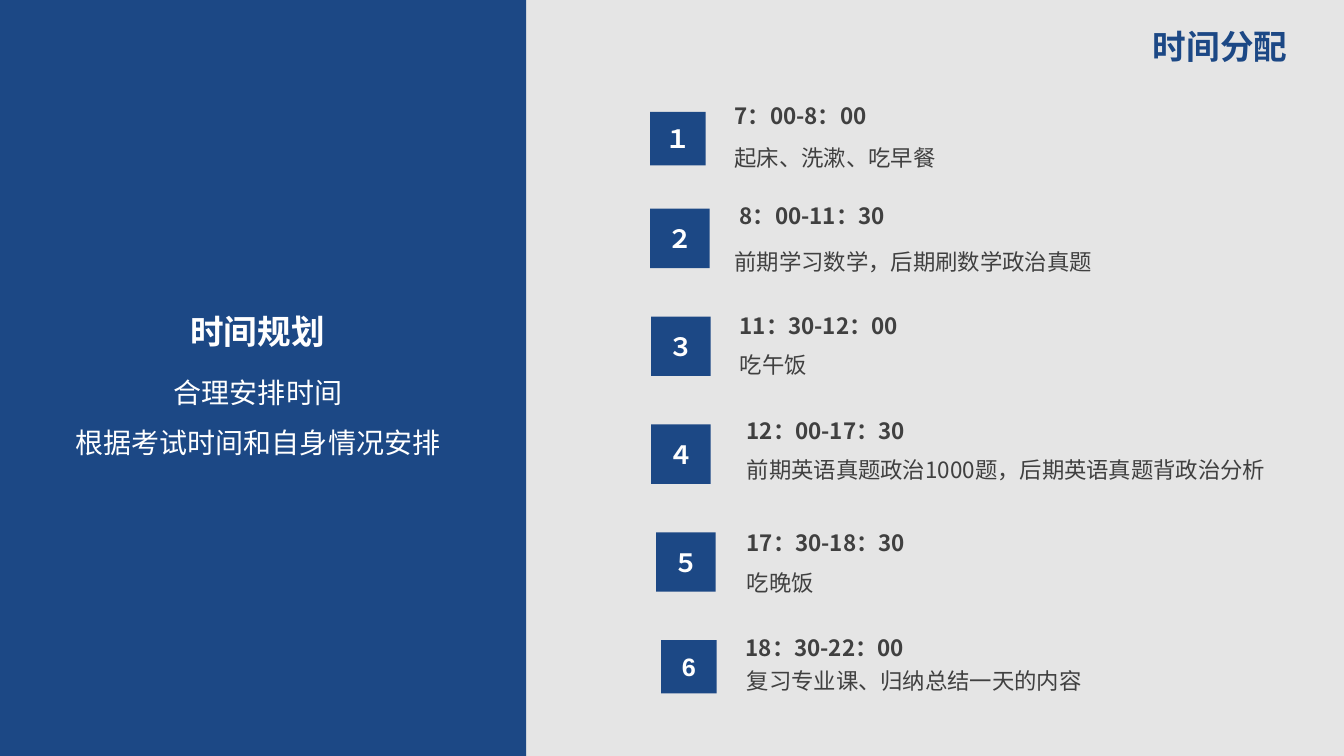
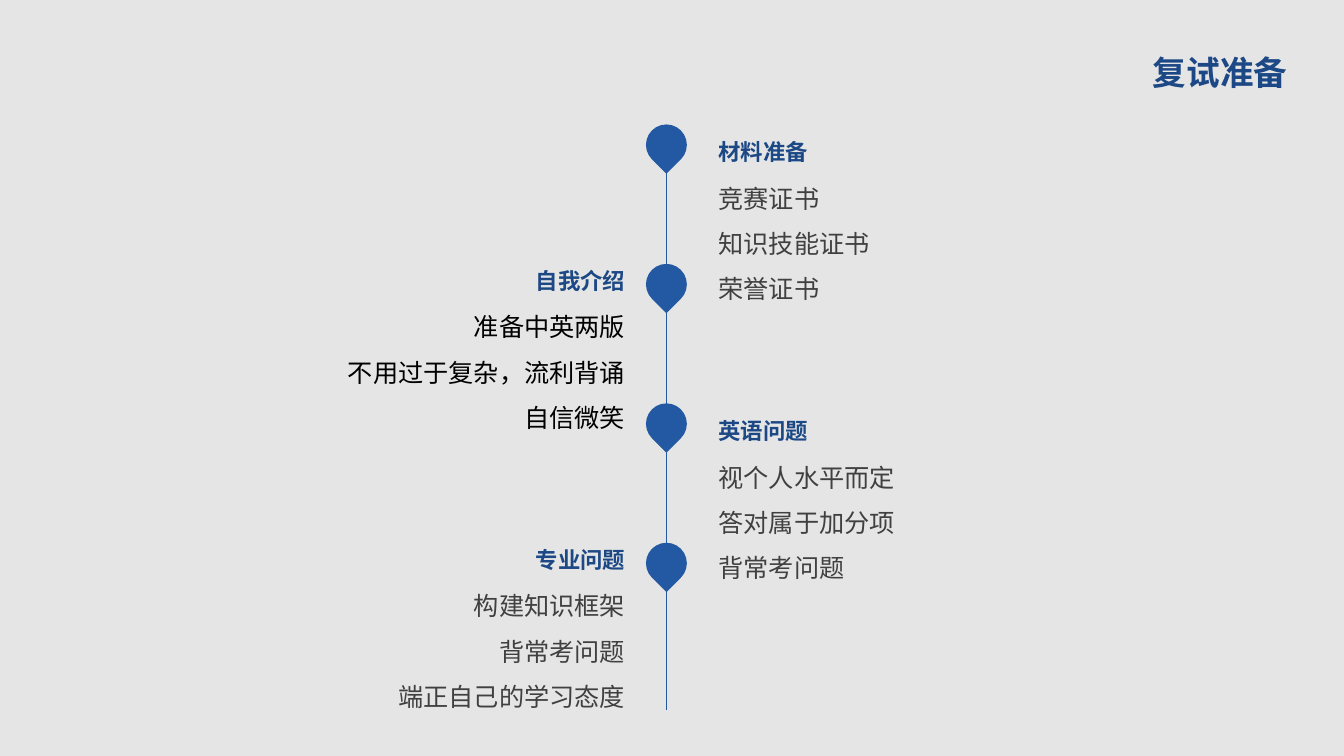
from pptx import Presentation
from pptx.dml.color import RGBColor
from pptx.enum.lang import MSO_LANGUAGE_ID
from pptx.enum.shapes import MSO_CONNECTOR, MSO_SHAPE
from pptx.enum.text import MSO_ANCHOR, MSO_AUTO_SIZE, PP_ALIGN
from pptx.oxml.ns import qn
from pptx.util import Pt
from lxml import etree

LEFT, CENTER, RIGHT = PP_ALIGN.LEFT, PP_ALIGN.CENTER, PP_ALIGN.RIGHT
TOP, MIDDLE = MSO_ANCHOR.TOP, MSO_ANCHOR.MIDDLE
RECTANGLE, TEARDROP = MSO_SHAPE.RECTANGLE, MSO_SHAPE.TEAR
STRAIGHT = MSO_CONNECTOR.STRAIGHT
FIXED_SIZE = MSO_AUTO_SIZE.NONE
CHINESE = MSO_LANGUAGE_ID.SIMPLIFIED_CHINESE

NAVY = RGBColor(0x1C, 0x48, 0x85)
BLUE = RGBColor(0x22, 0x59, 0xA2)
PALE_GRAY = RGBColor(0xE5, 0xE5, 0xE5)
DARK_GRAY = RGBColor(0x40, 0x40, 0x40)
WHITE = RGBColor(0xFF, 0xFF, 0xFF)
BLACK = RGBColor(0x00, 0x00, 0x00)

BODY_FONT = "Noto Sans CJK SC"
NUMBER_FONT = "Arial"
TITLE_ONLY = 5

# number, badge (left, top, width, height), time, time (left, top), activity, activity (left, top)
SCHEDULE = [
    ("１", (464.4, 79.9, 39.6, 38.2), "7：00-8：00", (517.7, 59.8), "起床、洗漱、吃早餐", (517.7, 90)),
    ("２", (464.4, 149, 42.5, 42.5), "8：00-11：30", (521.3, 131), "前期学习数学，后期刷数学政治真题", (517.7, 164.2)),
    ("３", (465.1, 226.1, 42.5, 42.5), "11：30-12：00", (521.3, 209.5), "吃午饭", (521.3, 237.6)),
    ("４", (465.1, 303.1, 42.5, 42.5), "12：00-17：30", (526.3, 285.1),
     "前期英语真题政治1000题，后期英语真题背政治分析", (526.3, 312.5)),
    ("５", (468.7, 380.2, 42.5, 42.5), "17：30-18：30", (526.3, 365), "吃晚饭", (526.3, 393.1)),
    ("6", (472.3, 457.2, 39.6, 38.2), "18：30-22：00", (525.6, 439.9), "复习专业课、归纳总结一天的内容", (526.3, 463.7)),
]

PREPARATION = [
    ("材料准备", ["竞赛证书", "知识技能证书", "荣誉证书"], DARK_GRAY),
    ("自我介绍", ["准备中英两版", "不用过于复杂，流利背诵", "自信微笑"], BLACK),
    ("英语问题", ["视个人水平而定", "答对属于加分项", "背常考问题"], DARK_GRAY),
    ("专业问题", ["构建知识框架", "背常考问题", "端正自己的学习态度"], DARK_GRAY),
]


def points(*lengths):
    return [Pt(length) for length in lengths]


def write(frame, lines, size, color, bold=False, align=LEFT, spacing=1.0, face=BODY_FONT):
    frame.text = "\n".join(lines)
    for paragraph in frame.paragraphs:
        paragraph.alignment = align
        paragraph.line_spacing = spacing
        font = paragraph.font
        font.size = Pt(size)
        font.bold = bold
        font.name = face
        font.color.rgb = color
        font.language_id = CHINESE
        defaults = paragraph._p.pPr.find(qn("a:defRPr"))
        etree.SubElement(defaults, qn("a:ea")).set("typeface", face)


def add_titled_slide(prs, title, top):
    slide = prs.slides.add_slide(prs.slide_layouts[TITLE_ONLY])
    heading = slide.shapes.title
    heading.left, heading.top, heading.width, heading.height = points(663.8, top, 263, 36)
    frame = heading.text_frame
    frame.auto_size = FIXED_SIZE
    frame.vertical_anchor = TOP
    write(frame, [title], 24, NAVY, bold=True, align=RIGHT)
    return slide


def add_text(slide, box, lines, size, color, bold=False, align=LEFT):
    frame = slide.shapes.add_textbox(*points(*box)).text_frame
    frame.word_wrap = True
    write(frame, lines, size, color, bold, align, spacing=1.5)


def add_block(slide, kind, box, color):
    block = slide.shapes.add_shape(kind, *points(*box))
    block.shadow.inherit = False
    block.fill.solid()
    block.fill.fore_color.rgb = color
    block.line.fill.background()
    return block


def add_badge(slide, box, number):
    frame = add_block(slide, RECTANGLE, box, NAVY).text_frame
    frame.vertical_anchor = MIDDLE
    write(frame, [number], 18, WHITE, bold=True, align=CENTER, face=NUMBER_FONT)


def add_pin(slide, box):
    pin = add_block(slide, TEARDROP, box, BLUE)
    pin.rotation = 135
    pin.line.color.rgb = BLUE
    pin.line.width = Pt(1)


def add_axis(slide, x, top, bottom):
    axis = slide.shapes.add_connector(STRAIGHT, *points(x, top, x, bottom))
    axis.line.color.rgb = BLUE
    axis.line.width = Pt(0.5)
    etree.SubElement(axis._element.spPr, qn("a:effectLst"))


def build_schedule(prs):
    slide = add_titled_slide(prs, "时间分配", 15.1)
    add_block(slide, RECTANGLE, (0, 0, 375.8, 540), NAVY)
    add_text(slide, (102.2, 203.8, 163.4, 46), ["时间规划"], 24, WHITE, True, CENTER)
    add_text(slide, (33.8, 252.7, 301, 75.6), ["合理安排时间", "根据考试时间和自身情况安排"],
             20, WHITE, align=CENTER)
    for number, badge, time, time_at, activity, activity_at in SCHEDULE:
        add_badge(slide, badge, number)
        add_text(slide, (*time_at, 163.4, 33), [time], 16, DARK_GRAY, bold=True)
        add_text(slide, (*activity_at, 416.2, 33), [activity], 16, DARK_GRAY)


def build_preparation(prs):
    slide = add_titled_slide(prs, "复试准备", 33.1)
    axis_x, first_pin, pin_step, pin_size = 476, 89.4, 99.6, 28.2
    right_edge, left_edge = 506.2, 453.6
    heading_width, detail_width = 142.6, 379.4
    add_axis(slide, axis_x, 118.1, 506.9)
    for index, (heading, details, color) in enumerate(PREPARATION):
        pin_top = first_pin + index * pin_step
        add_pin(slide, (axis_x - pin_size / 2, pin_top, pin_size, pin_size))
        if index % 2 == 0:
            align, heading_top = LEFT, pin_top - 3.5
            heading_left = detail_left = right_edge
        else:
            align, heading_top = RIGHT, pin_top - 11.2
            heading_left, detail_left = left_edge - heading_width, left_edge - detail_width
        add_text(slide, (heading_left, heading_top, heading_width, 33), [heading], 16, NAVY, True, align)
        add_text(slide, (detail_left, heading_top + 30.5, detail_width, 101.5), details, 18, color, align=align)


def main():
    prs = Presentation()
    prs.slide_width, prs.slide_height = points(960, 540)
    backdrop = prs.slide_master.background.fill
    backdrop.solid()
    backdrop.fore_color.rgb = PALE_GRAY
    build_schedule(prs)
    build_preparation(prs)
    prs.save("out.pptx")


if __name__ == "__main__":
    main()
